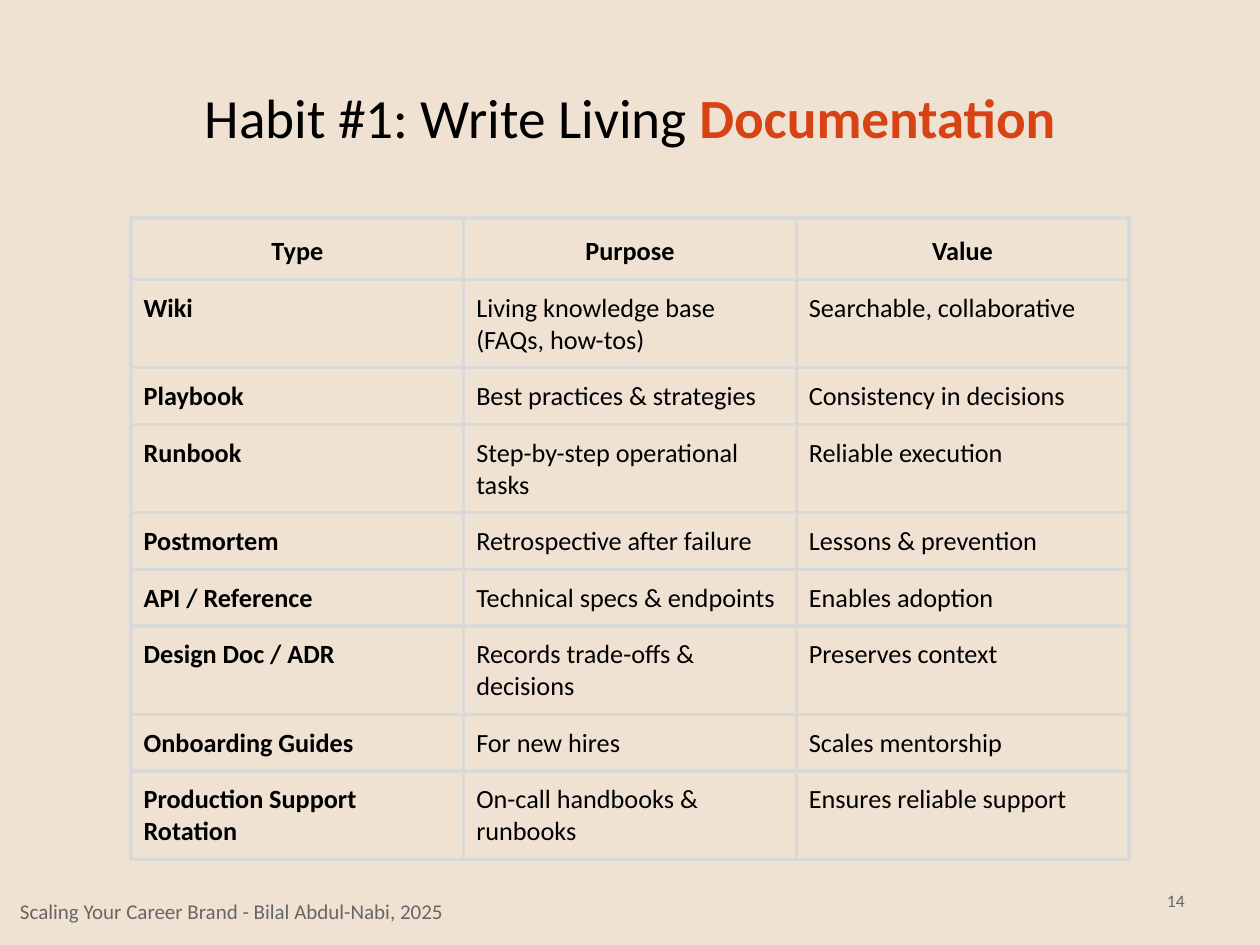
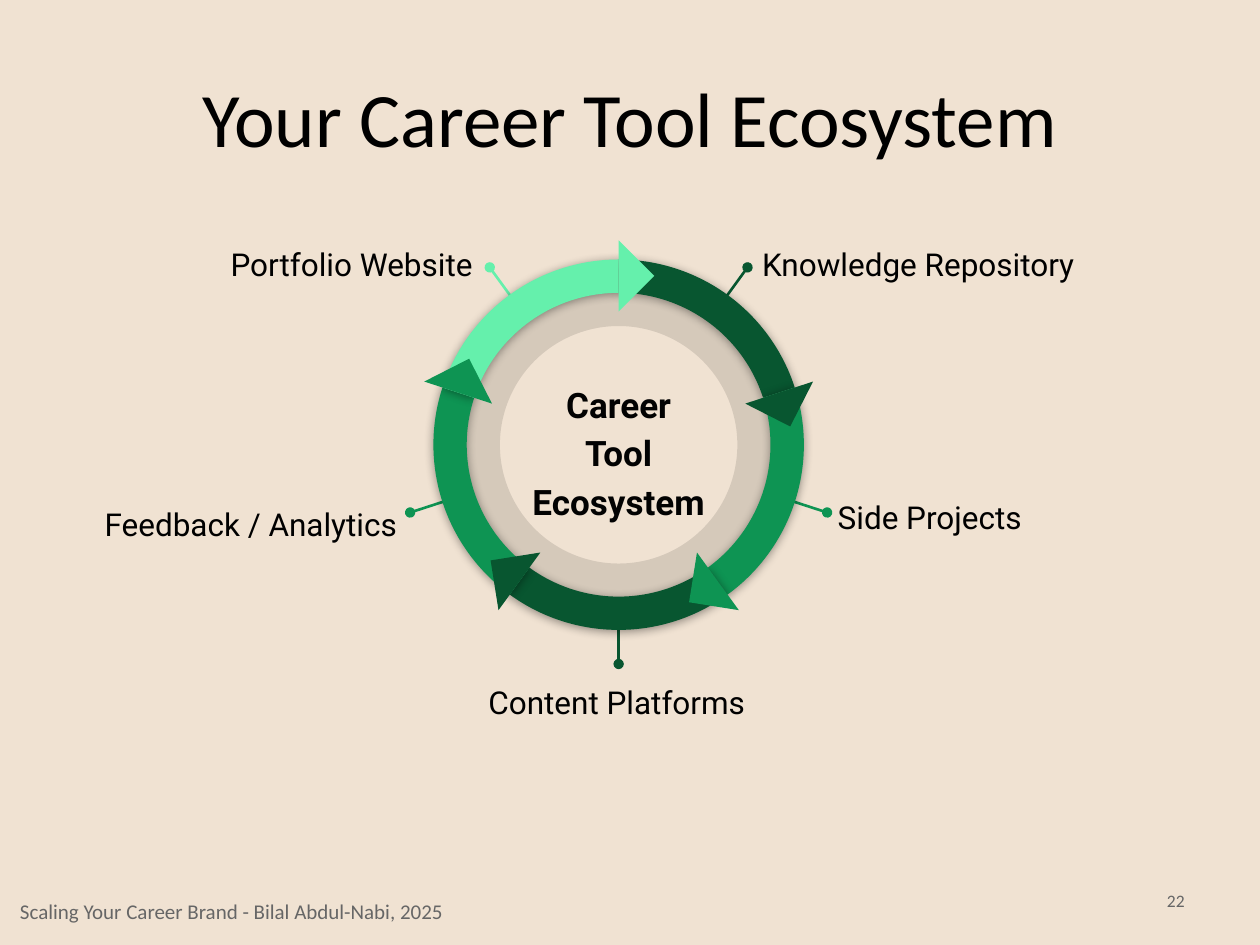
"""Builds two slides on career habits: a documentation table and a tool cycle."""
from dataclasses import dataclass
from itertools import product
from math import cos, radians, sin

from lxml.etree import SubElement
from pptx import Presentation
from pptx.dml.color import RGBColor
from pptx.enum.shapes import MSO_CONNECTOR as Connector, MSO_SHAPE as Shape
from pptx.enum.text import MSO_ANCHOR as Anchor, MSO_AUTO_SIZE as AutoSize, PP_ALIGN as Align
from pptx.oxml.ns import qn
from pptx.util import Inches, Pt

SAND = RGBColor(0xF0, 0xE2, 0xD2)
BLACK = RGBColor(0, 0, 0)
INK = RGBColor(0x02, 0x02, 0x02)
GRAY = RGBColor(0x66, 0x66, 0x66)
ORANGE = RGBColor(0xD8, 0x43, 0x15)
BORDER = RGBColor(0xD9, 0xD9, 0xD9)
DARK_GREEN = RGBColor(0x08, 0x56, 0x30)
GREEN = RGBColor(0x0E, 0x94, 0x53)
MINT = RGBColor(0x65, 0xF0, 0xAC)

FOOTER = "Scaling Your Career Brand - Bilal Abdul-Nabi, 2025"
DOCUMENT_TYPES = [
    ("Type", "Purpose", "Value"),
    ("Wiki", "Living knowledge base (FAQs, how-tos)", "Searchable, collaborative"),
    ("Playbook", "Best practices & strategies", "Consistency in decisions"),
    ("Runbook", "Step-by-step operational tasks", "Reliable execution"),
    ("Postmortem", "Retrospective after failure", "Lessons & prevention"),
    ("API / Reference", "Technical specs & endpoints", "Enables adoption"),
    ("Design Doc / ADR", "Records trade-offs & decisions", "Preserves context"),
    ("Onboarding Guides", "For new hires", "Scales mentorship"),
    ("Production Support Rotation", "On-call handbooks & runbooks", "Ensures reliable support"),
]

CENTER_X, CENTER_Y = 4.91, 3.53
RING_RADIUS, HOLE_RADIUS = 1.47, 1.39
ARROW_RADIUS, ARROW_SIZE = 1.34, 0.4
LEADER_INNER, LEADER_OUTER = 1.21, 1.74
ARC_THICKNESS = 0.09
RING_START = 270
DEGREE = 0.6


@dataclass(frozen=True)
class Box:
    """A rectangle in inches."""
    left: float
    top: float
    width: float
    height: float

    def lengths(self) -> tuple:
        """Return the rectangle as lengths."""
        return tuple(map(Inches, (self.left, self.top, self.width, self.height)))


@dataclass(frozen=True)
class TextStyle:
    """The look of a piece of text."""
    size: float
    color: RGBColor = BLACK
    font: str = "Calibri"
    bold: bool = False
    align: Align = Align.LEFT
    spacing: float = 1.0


@dataclass(frozen=True)
class Tool:
    """One stage of the cycle with its label."""
    name: str
    color: RGBColor
    label: Box
    align: Align


FOOTER_STYLE = TextStyle(12, GRAY)
NUMBER_STYLE = TextStyle(10, GRAY, align=Align.RIGHT)
HUB_STYLE = TextStyle(20, INK, "Roboto", True, Align.CENTER, 1.15)
TOOLS = [
    Tool("Knowledge Repository", DARK_GREEN, Box(5.95, 1.8, 3.07, 0.73), Align.LEFT),
    Tool("Side Projects", GREEN, Box(6.55, 3.81, 2.78, 0.73), Align.LEFT),
    Tool("Content Platforms", DARK_GREEN, Box(3.54, 5.28, 2.71, 0.73), Align.CENTER),
    Tool("Feedback / Analytics", GREEN, Box(0.51, 3.86, 2.74, 0.4), Align.RIGHT),
    Tool("Portfolio Website", MINT, Box(1.62, 1.8, 2.23, 0.73), Align.RIGHT),
]
SWEEP = 360 / len(TOOLS)


def style_run(run, style: TextStyle) -> None:
    """Apply a text style to one run."""
    run.font.name = style.font
    run.font.size = Pt(style.size)
    run.font.bold = style.bold
    run.font.color.rgb = style.color


def style_paragraph(paragraph, style: TextStyle) -> None:
    """Apply a text style to a paragraph and its runs."""
    paragraph.alignment = style.align
    paragraph.line_spacing = style.spacing
    for run in paragraph.runs:
        style_run(run, style)


def add_text(slide, box: Box, text: str, style: TextStyle,
             anchor: Anchor = Anchor.TOP, inset: float = 0.1) -> None:
    """Add a wrapped text box."""
    frame = slide.shapes.add_textbox(*box.lengths()).text_frame
    frame.word_wrap = True
    frame.vertical_anchor = anchor
    frame.margin_left = frame.margin_right = Inches(0.1)
    frame.margin_top = frame.margin_bottom = Inches(inset)
    frame.text = text
    style_paragraph(frame.paragraphs[0], style)


def add_slide(presentation, title: str, size: float, number: int, accent: str = ""):
    """Add a slide with its title, footer and number."""
    slide = presentation.slides.add_slide(presentation.slide_layouts[5])
    shape = slide.shapes.title
    shape.left, shape.top, shape.width, shape.height = Box(0.5, 0.3, 9, 1.25).lengths()
    frame = shape.text_frame
    frame.text = title
    frame.auto_size = AutoSize.NONE
    frame.vertical_anchor = Anchor.MIDDLE
    paragraph = frame.paragraphs[0]
    style_paragraph(paragraph, TextStyle(size, align=Align.CENTER))
    if accent:
        run = paragraph.add_run()
        run.text = accent
        style_run(run, TextStyle(size, ORANGE, bold=True))
    add_text(slide, Box(0.06, 7.03, 6.09, 0.42), FOOTER, FOOTER_STYLE)
    add_text(slide, Box(7.17, 6.95, 2.33, 0.4), str(number), NUMBER_STYLE, Anchor.MIDDLE, 0.05)
    return slide


def add_borders(cell) -> None:
    """Draw the four borders of a table cell."""
    properties = cell._tc.get_or_add_tcPr()
    for side in ("a:lnL", "a:lnR", "a:lnT", "a:lnB"):
        line = SubElement(properties, qn(side), w=str(Pt(2.25)))
        fill = SubElement(line, qn("a:solidFill"))
        SubElement(fill, qn("a:srgbClr"), val=str(BORDER))


def add_document_table(slide) -> None:
    """Add the table of documentation types."""
    row_count, column_count = len(DOCUMENT_TYPES), len(DOCUMENT_TYPES[0])
    box = Box(1.04, 1.73, 2.64 * column_count, 0.42 * row_count)
    table = slide.shapes.add_table(row_count, column_count, *box.lengths()).table
    table.first_row = table.horz_banding = False
    for row, column in product(range(row_count), range(column_count)):
        cell = table.cell(row, column)
        cell.text_frame.text = DOCUMENT_TYPES[row][column]
        cell.margin_left = cell.margin_right = Inches(0.1)
        cell.margin_top = cell.margin_bottom = Inches(0.1)
        header = row == 0
        style = TextStyle(15, bold=header or column == 0,
                          align=Align.CENTER if header else Align.LEFT,
                          spacing=1.15 if header else 1.0)
        style_paragraph(cell.text_frame.paragraphs[0], style)
        add_borders(cell)
        cell.fill.background()


def polar(radius: float, angle: float) -> tuple[float, float]:
    """Return the point at a clockwise angle around the cycle's center."""
    return (CENTER_X + radius * cos(radians(angle)), CENTER_Y + radius * sin(radians(angle)))


def square(center: tuple[float, float], size: float) -> Box:
    """Return a square around a point."""
    return Box(center[0] - size / 2, center[1] - size / 2, size, size)


def add_filled(slide, kind: Shape, box: Box, color: RGBColor):
    """Add a preset shape with a plain fill, no line and no shadow."""
    shape = slide.shapes.add_shape(kind, *box.lengths())
    shape.fill.solid()
    shape.fill.fore_color.rgb = color
    shape.line.fill.background()
    shape.shadow.inherit = False
    return shape


def set_alpha(color_element, percent: int) -> None:
    """Make a colour element partly transparent."""
    SubElement(color_element, qn("a:alpha"), val=str(percent * 1000))


def add_soft_shadow(shape) -> None:
    """Give a shape a soft shadow below it."""
    effects = shape.element.spPr.find(qn("a:effectLst"))
    shadow = SubElement(effects, qn("a:outerShdw"), blurRad=str(Pt(5.6)), dist=str(Pt(0.8)),
                        dir=str(90 * 60000), algn="bl", rotWithShape="0")
    set_alpha(SubElement(shadow, qn("a:srgbClr"), val=str(BLACK)), 40)


def add_leader(slide, angle: float, color: RGBColor) -> None:
    """Add a dotted-end line from a label to the ring."""
    start, end = polar(LEADER_OUTER, angle), polar(LEADER_INNER, angle)
    connector = slide.shapes.add_connector(Connector.STRAIGHT, *map(Inches, start + end))
    connector.line.color.rgb = color
    connector.line.width = Pt(1.5)
    properties = connector.element.spPr
    SubElement(properties.find(qn("a:ln")), qn("a:headEnd"), type="oval")
    SubElement(properties, qn("a:effectLst"))


def add_arc(slide, start: float, color: RGBColor) -> None:
    """Add one stage of the ring."""
    arc = add_filled(slide, Shape.BLOCK_ARC, square((CENTER_X, CENTER_Y), 2 * RING_RADIUS), color)
    arc.adjustments[0] = start % 360 * DEGREE
    arc.adjustments[1] = (start + SWEEP) % 360 * DEGREE
    arc.adjustments[2] = ARC_THICKNESS
    add_soft_shadow(arc)


def add_cycle(slide) -> None:
    """Add the ring of tools with its labels and hub."""
    center = (CENTER_X, CENTER_Y)
    donut = add_filled(slide, Shape.DONUT, square(center, 2 * HOLE_RADIUS), BLACK)
    donut.adjustments[0] = 0.161
    set_alpha(donut.element.spPr.find(qn("a:solidFill"))[0], 11)
    starts = [RING_START + SWEEP * index for index in range(len(TOOLS))]
    for start, tool in zip(starts, TOOLS):
        add_leader(slide, start + SWEEP / 2, tool.color)
        style = TextStyle(18, font="Roboto", align=tool.align, spacing=1.15)
        add_text(slide, tool.label, tool.name, style)
    for start, tool in zip(starts, TOOLS):
        add_arc(slide, start, tool.color)
    add_text(slide, Box(4.12, 2.75, 1.58, 1.64), "Career Tool Ecosystem", HUB_STYLE, Anchor.MIDDLE)
    for start, tool in zip(starts, TOOLS):
        end = start + SWEEP
        box = square(polar(ARROW_RADIUS, end), ARROW_SIZE)
        arrow = add_filled(slide, Shape.RIGHT_TRIANGLE, box, tool.color)
        arrow.rotation = (end - 45) % 360


def main() -> None:
    """Build and save the presentation."""
    presentation = Presentation()
    presentation.slide_width, presentation.slide_height = Inches(10), Inches(7.5)
    background = presentation.slide_master.background.fill
    background.solid()
    background.fore_color.rgb = SAND
    add_document_table(
        add_slide(presentation, "Habit #1: Write Living ", 31.6, 14, "Documentation"))
    add_cycle(add_slide(presentation, "Your Career Tool Ecosystem", 44, 22))
    presentation.save("out.pptx")


if __name__ == "__main__":
    main()
